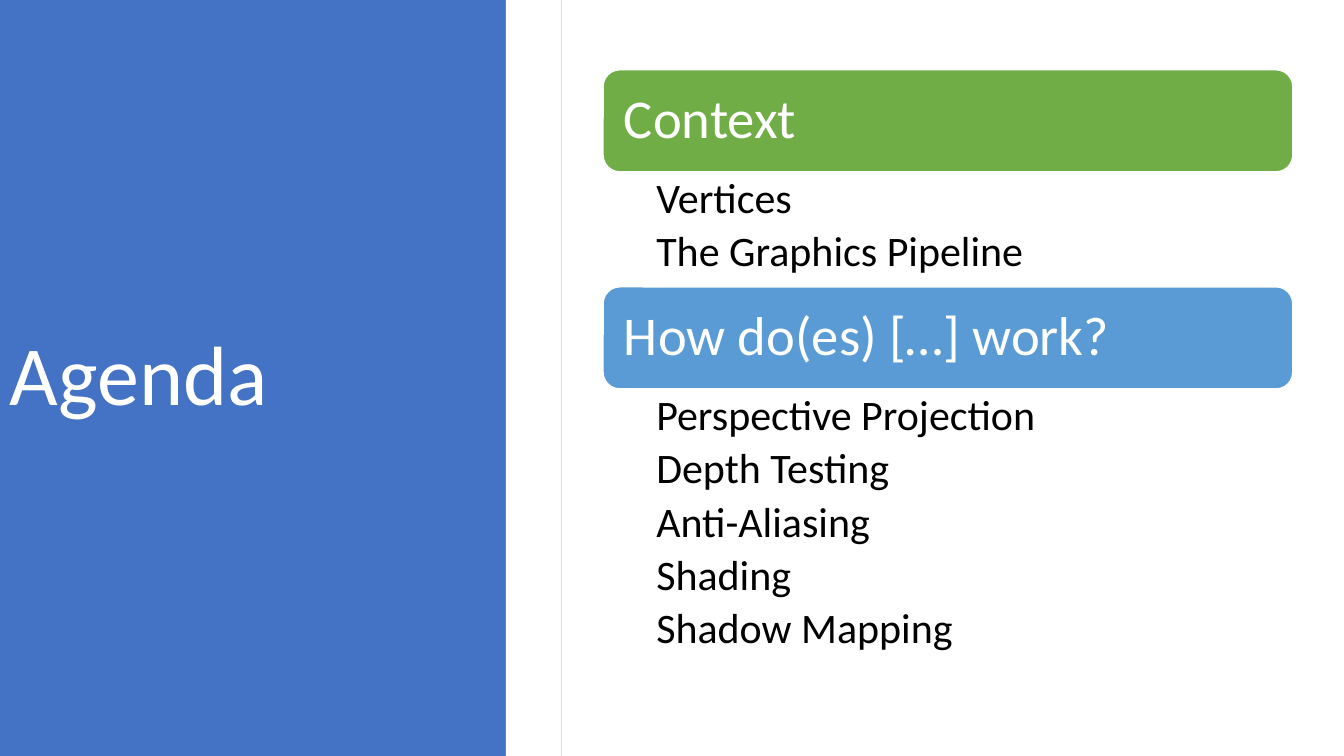
from pptx import Presentation
from pptx.dml.color import RGBColor
from pptx.enum.shapes import MSO_SHAPE
from pptx.enum.text import MSO_ANCHOR, PP_ALIGN
from pptx.util import Cm, Pt

# Content
TITLE = "Agenda"
SECTIONS = [
    ("Context", "green", ["Vertices", "The Graphics Pipeline"]),
    ("How do(es) […] work?", "sky", [
        "Perspective Projection", "Depth Testing", "Anti-Aliasing",
        "Shading", "Shadow Mapping"]),
]
COLOURS = {"blue": "4472C4", "green": "70AD47", "sky": "5B9BD5",
           "white": "FFFFFF", "black": "000000"}
FONT = "Calibri"

# Layout in centimetres
SLIDE_WIDTH, SLIDE_HEIGHT = 33.87, 19.05
PANEL_WIDTH, STRIP_LEFT = 14.15, 12.75
AGENDA_LEFT, AGENDA_TOP, AGENDA_WIDTH = 15.19, 1.75, 17.4
HEADER_HEIGHT, ITEM_HEIGHT = 2.59, 1.44


def colour(name):
    return RGBColor.from_string(COLOURS[name])


def add_block(kind, left, top, width, height, fill):
    shape = slide.shapes.add_shape(kind, Cm(left), Cm(top), Cm(width), Cm(height))
    shape.shadow.inherit = False
    shape.fill.solid()
    shape.fill.fore_color.rgb = colour(fill)
    shape.line.fill.background()
    return shape


def add_text_box(left, top, width, height):
    return slide.shapes.add_textbox(Cm(left), Cm(top), Cm(width), Cm(height))


def write(shape, lines, size, text_colour, inset, anchor, space_after=0):
    """Fill a shape with left-aligned lines; inset is (horizontal, vertical)."""
    frame = shape.text_frame
    frame.word_wrap = True
    frame.vertical_anchor = anchor
    frame.margin_left = frame.margin_right = Cm(inset[0])
    frame.margin_top = frame.margin_bottom = Cm(inset[1])
    frame.text = "\n".join(lines)
    for paragraph in frame.paragraphs:
        paragraph.alignment = PP_ALIGN.LEFT
        paragraph.line_spacing = 0.9
        paragraph.space_after = Pt(space_after)
        paragraph.font.name = FONT
        paragraph.font.size = Pt(size)
        paragraph.font.color.rgb = colour(text_colour)


presentation = Presentation()
presentation.slide_width = Cm(SLIDE_WIDTH)
presentation.slide_height = Cm(SLIDE_HEIGHT)
slide = presentation.slides.add_slide(presentation.slide_layouts[6])

# Title panel, with a white strip over its right edge
add_block(MSO_SHAPE.RECTANGLE, 0, 0, PANEL_WIDTH, SLIDE_HEIGHT, "blue")
add_block(MSO_SHAPE.RECTANGLE, STRIP_LEFT, 0, PANEL_WIDTH - STRIP_LEFT,
          SLIDE_HEIGHT, "white")
title = add_text_box(0, 0, 8.43, SLIDE_HEIGHT)
write(title, [TITLE], 60, "white", (0.25, 0.13), MSO_ANCHOR.MIDDLE)

# Agenda: each header is followed by its list
top = AGENDA_TOP
for heading, fill, items in SECTIONS:
    header = add_block(MSO_SHAPE.ROUNDED_RECTANGLE, AGENDA_LEFT, top,
                       AGENDA_WIDTH, HEADER_HEIGHT, fill)
    header.line.color.rgb = colour("white")
    header.line.width = Pt(1.5)
    write(header, [heading], 39, "white", (0.41, 0.3), MSO_ANCHOR.MIDDLE)
    top += HEADER_HEIGHT

    list_height = len(items) * ITEM_HEIGHT
    item_list = add_text_box(AGENDA_LEFT, top, AGENDA_WIDTH, list_height)
    write(item_list, items, 30, "black", (1.35, 0.13), MSO_ANCHOR.TOP, 5.6)
    top += list_height

presentation.save("out.pptx")
